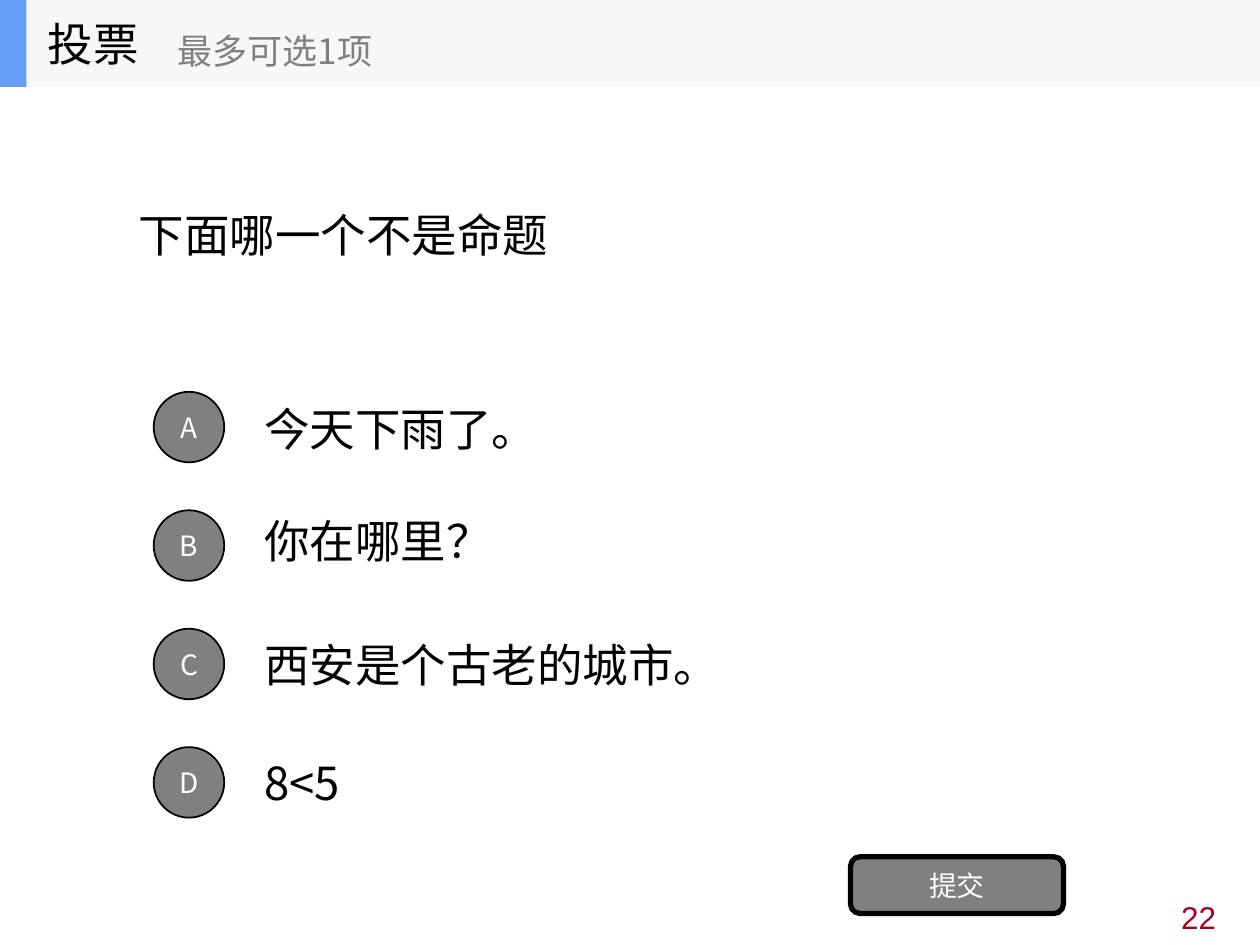
from pptx import Presentation
from pptx.dml.color import RGBColor
from pptx.enum.shapes import MSO_SHAPE
from pptx.enum.text import MSO_ANCHOR, MSO_AUTO_SIZE, PP_ALIGN
from pptx.oxml.ns import qn
from pptx.util import Inches, Pt

RECT = MSO_SHAPE.RECTANGLE
OVAL = MSO_SHAPE.OVAL
ROUND = MSO_SHAPE.ROUNDED_RECTANGLE
TOP, MIDDLE = MSO_ANCHOR.TOP, MSO_ANCHOR.MIDDLE
LEFT, CENTER, RIGHT = PP_ALIGN.LEFT, PP_ALIGN.CENTER, PP_ALIGN.RIGHT
FONT = "Noto Sans CJK SC"
BLACK, WHITE, GREY = "000000", "FFFFFF", "808080"


def write(shape, text, size, color=BLACK, align=LEFT, anchor=MIDDLE, font=FONT):
    frame = shape.text_frame
    frame.word_wrap = True
    frame.auto_size = MSO_AUTO_SIZE.NONE
    frame.vertical_anchor = anchor
    para = frame.paragraphs[0]
    para.alignment = align
    run = para.add_run()
    run.text = text
    run.font.size = Pt(size)
    run.font.name = font
    run.font.color.rgb = RGBColor.from_string(color)
    # Chinese characters take their font from a:ea
    east = run.font._element.makeelement(qn("a:ea"), {"typeface": font})
    run.font._element.find(qn("a:latin")).addnext(east)


def draw(kind, box, fill, line=0):
    """Add a filled shape, with a black outline if line (points) is given."""
    shape = slide.shapes.add_shape(kind, *map(Inches, box))
    shape.shadow.inherit = False
    shape.fill.solid()
    shape.fill.fore_color.rgb = RGBColor.from_string(fill)
    if line:
        shape.line.color.rgb = RGBColor.from_string(BLACK)
        shape.line.width = Pt(line)
    else:
        shape.line.fill.background()
    return shape


prs = Presentation()
prs.slide_width, prs.slide_height = Inches(10), Inches(7.5)
slide = prs.slides.add_slide(prs.slide_layouts[5])

# Question
title = slide.shapes.title
title.left, title.top = Inches(1), Inches(0.69)
title.width, title.height = Inches(8), Inches(2.34)
write(title, "下面哪一个不是命题", 26)

# Answers, each with its lettered button
answers = [
    ("A", "今天下雨了。", 3.05),
    ("B", "你在哪里？", 3.94),
    ("C", "西安是个古老的城市。", 4.92),
    ("D", "8<5", 5.86),
]
for row, (letter, answer, top) in enumerate(answers):
    box = slide.shapes.add_textbox(Inches(2), Inches(top), Inches(7), Inches(0.7))
    write(box, answer, 26)
    button = draw(OVAL, (1.22, 3.11 + 0.94 * row, 0.56, 0.56), GREY, 1)
    button.text_frame.margin_left = button.text_frame.margin_right = 0
    write(button, letter, 16, WHITE, CENTER)

submit = draw(ROUND, (6.75, 6.8, 1.69, 0.45), GREY, 3)
write(submit, "提交", 16, WHITE, CENTER)

# Header bar
draw(RECT, (0, 0, 10, 0.69), "F6F7F8")
draw(RECT, (0, 0, 0.21, 0.69), "639EF4")
head = slide.shapes.add_textbox(Inches(0.28), 0, Inches(2.08), Inches(0.69))
write(head, "投票", 26)
hint = slide.shapes.add_textbox(Inches(1.31), Inches(0.12), Inches(2.5), Inches(0.56))
write(hint, "最多可选1项", 20, GREY)

# Page number
page = slide.shapes.add_textbox(Inches(7.58), Inches(7.08), Inches(2.17), Inches(0.39))
write(page, "22", 18, "A50021", RIGHT, TOP, "Arial")

prs.save("out.pptx")
